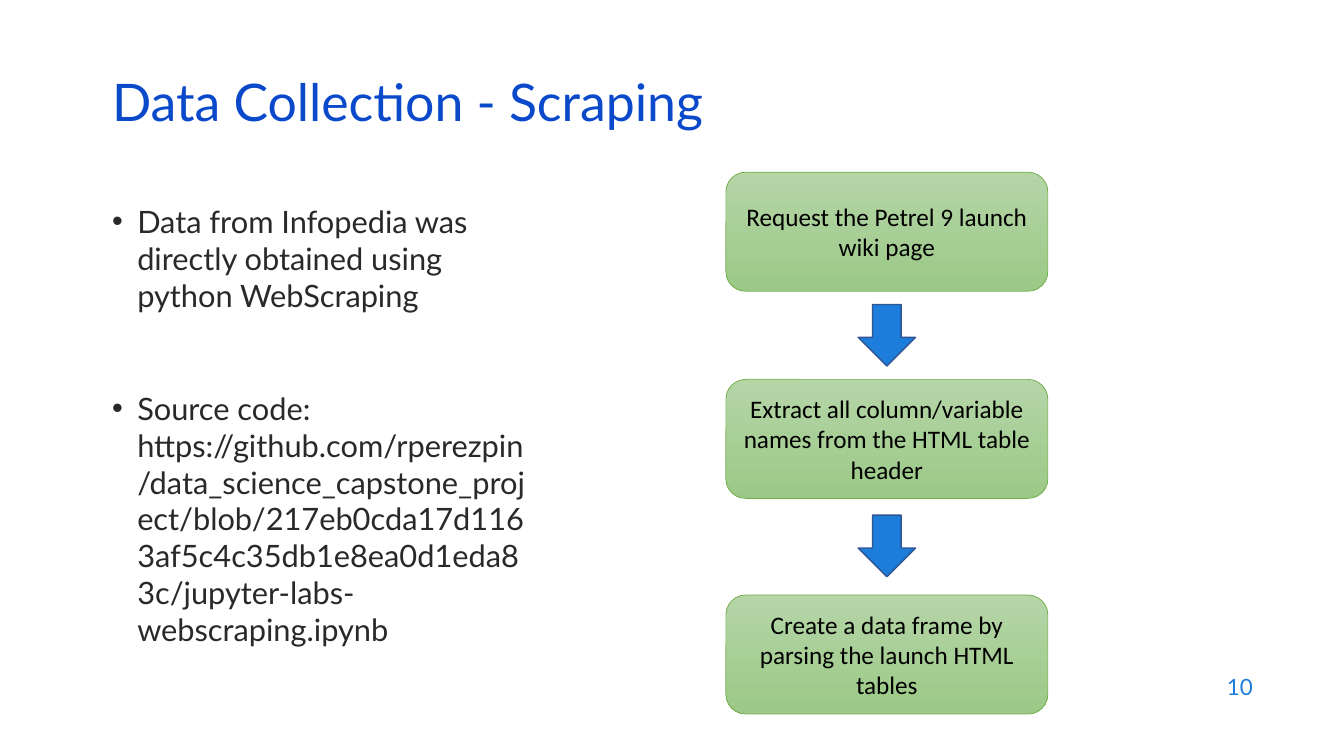
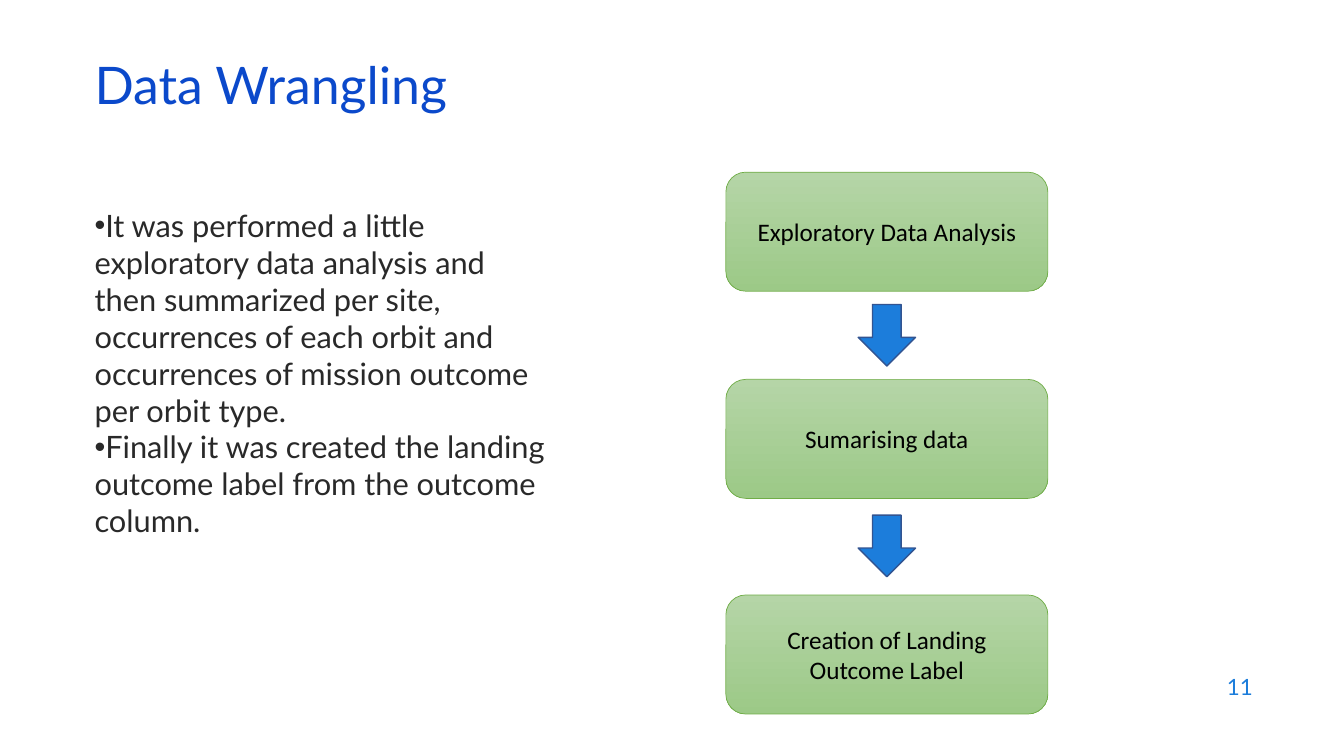
from lxml.etree import SubElement
from pptx import Presentation
from pptx.dml.color import RGBColor
from pptx.enum.shapes import MSO_SHAPE
from pptx.enum.text import MSO_ANCHOR, PP_ALIGN
from pptx.oxml.ns import qn
from pptx.util import Pt

WHITE = RGBColor(0xFF, 0xFF, 0xFF)
BLACK = RGBColor(0x00, 0x00, 0x00)
INK = RGBColor(0x29, 0x29, 0x29)
NAVY = RGBColor(0x0B, 0x49, 0xCB)
BLUE = RGBColor(0x1C, 0x7D, 0xDB)
EDGE = RGBColor(0x32, 0x54, 0x91)
LIGHT = RGBColor(0xB5, 0xD5, 0xA7)
DARK = RGBColor(0x9C, 0xC9, 0x87)
RIM = RGBColor(0x70, 0xAD, 0x47)

TITLE = {"font": {"name": "Lato", "size": Pt(37)}, "color": NAVY,
         "para": {"line_spacing": 0.8}}
BODY = {"font": {"name": "Lato", "size": Pt(22)}, "color": INK, "para": {}}
PAGE = {"font": {"name": "Lato", "size": Pt(16)}, "color": BLUE,
        "para": {"alignment": PP_ALIGN.RIGHT}}
STEP = {"font": {"name": "Calibri", "size": Pt(18)}, "color": BLACK,
        "para": {"alignment": PP_ALIGN.CENTER}}

FLOW_MID = 633.5
STEP_W, STEP_H = 230, 85
STEP_TOPS = (123, 271, 425)
ARROW_W, ARROW_H = 41, 44
ARROW_TOPS = (217.5, 368)

SLIDES = [
    {
        "page": "10",
        "title": "Data Collection - Scraping",
        "title_at": (73, 55),
        "body": [
            "Data from Infopedia was directly obtained using python WebScraping",
            "Source code: https://github.com/rperezpin/data_science_capstone_project"
            "/blob/217eb0cda17d1163af5c4c35db1e8ea0d1eda83c"
            "/jupyter-labs-webscraping.ipynb",
        ],
        "body_box": (73, 141, 309.5, 300),
        "indent": 18,
        "gap": 54.4,
        "steps": [
            "Request the Petrel 9 launch wiki page",
            "Extract all column/variable names from the HTML table header",
            "Create a data frame by parsing the launch HTML tables",
        ],
    },
    {
        "page": "11",
        "title": "Data Wrangling",
        "title_at": (60.5, 42.5),
        "body": [
            "It was performed a little exploratory data analysis and then "
            "summarized per site, occurrences of each orbit and occurrences "
            "of mission outcome per orbit type.",
            "Finally it was created the landing outcome label from the "
            "outcome column.",
        ],
        "body_box": (60.5, 144, 342, 343),
        "indent": 0,
        "gap": 0,
        "steps": [
            "Exploratory Data Analysis",
            "Sumarising data",
            "Creation of Landing Outcome Label",
        ],
    },
]


def apply(target, values):
    for key, value in values.items():
        setattr(target, key, value)


def write(para, text, style):
    apply(para, style["para"])
    run = para.add_run()
    run.text = text
    apply(run.font, style["font"])
    run.font.color.rgb = style["color"]


def add_box(slide, box, anchor):
    frame = slide.shapes.add_textbox(*map(Pt, box)).text_frame
    apply(frame, {"word_wrap": True, "vertical_anchor": anchor})
    return frame


def add_label(slide, box, text, style):
    frame = add_box(slide, box, MSO_ANCHOR.MIDDLE)
    write(frame.paragraphs[0], text, style)


def add_bullet(para, indent):
    props = para._p.get_or_add_pPr()
    props.set("marL", str(Pt(indent)))
    props.set("indent", str(-Pt(indent)))
    SubElement(props, qn("a:buFont")).set("typeface", "Arial")
    SubElement(props, qn("a:buChar")).set("char", "•")


def add_list(slide, box, items, indent, gap):
    frame = add_box(slide, box, MSO_ANCHOR.TOP)
    for index, item in enumerate(items):
        para = frame.add_paragraph() if index else frame.paragraphs[0]
        add_bullet(para, indent)
        para.space_before = Pt(gap if index else 0)
        write(para, item, BODY)


def add_form(slide, kind, top, width, height, edge, weight):
    left = FLOW_MID - width / 2
    form = slide.shapes.add_shape(kind, *map(Pt, (left, top, width, height)))
    form.shadow.inherit = False
    form.line.color.rgb = edge
    form.line.width = Pt(weight)
    return form


def add_step(slide, top, text):
    step = add_form(slide, MSO_SHAPE.ROUNDED_RECTANGLE, top, STEP_W, STEP_H, RIM, 0.5)
    step.fill.gradient()
    step.fill.gradient_angle = 270
    for stop, color in zip(step.fill.gradient_stops, (LIGHT, DARK)):
        stop.color.rgb = color
    frame = step.text_frame
    apply(frame, {"word_wrap": True, "vertical_anchor": MSO_ANCHOR.MIDDLE})
    write(frame.paragraphs[0], text, STEP)


def add_arrow(slide, top):
    arrow = add_form(slide, MSO_SHAPE.DOWN_ARROW, top, ARROW_W, ARROW_H, EDGE, 1)
    arrow.fill.solid()
    arrow.fill.fore_color.rgb = BLUE


def add_flow(slide, steps):
    for top, text in zip(STEP_TOPS, steps):
        add_step(slide, top, text)
    for top in ARROW_TOPS:
        add_arrow(slide, top)


def add_slide(deck, data):
    slide = deck.slides.add_slide(deck.slide_layouts[6])
    slide.background.fill.solid()
    slide.background.fill.fore_color.rgb = WHITE
    add_label(slide, (*data["title_at"], 828, 43), data["title"], TITLE)
    add_list(slide, data["body_box"], data["body"], data["indent"], data["gap"])
    add_flow(slide, data["steps"])
    add_label(slide, (686, 474.5, 216, 32), data["page"], PAGE)


def main():
    deck = Presentation()
    apply(deck, {"slide_width": Pt(960), "slide_height": Pt(540)})
    for data in SLIDES:
        add_slide(deck, data)
    deck.save("out.pptx")


if __name__ == "__main__":
    main()
